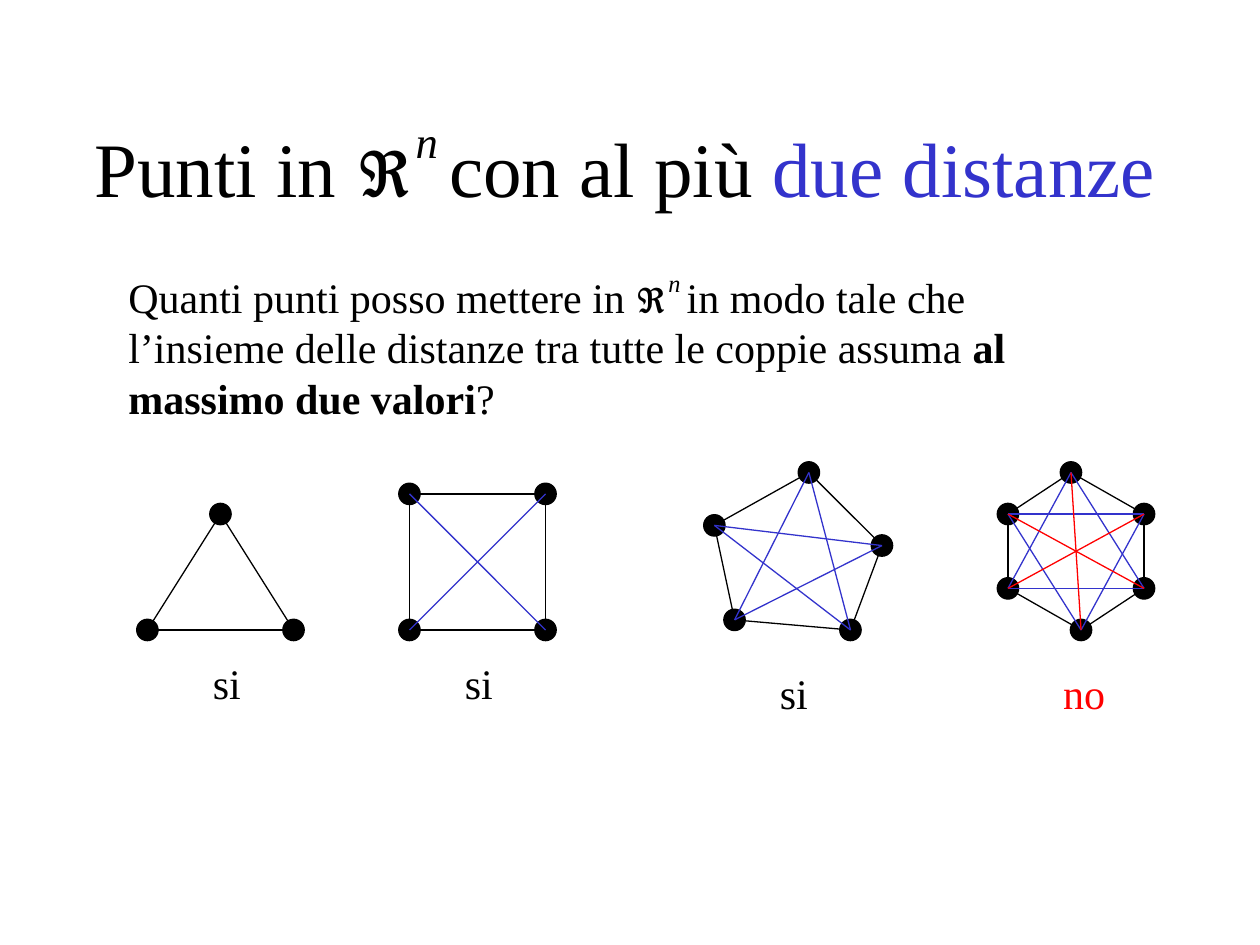
from itertools import combinations

from lxml import etree
from pptx import Presentation
from pptx.dml.color import RGBColor
from pptx.enum.shapes import MSO_CONNECTOR, MSO_SHAPE
from pptx.enum.text import MSO_ANCHOR, MSO_AUTO_SIZE, PP_ALIGN
from pptx.oxml.ns import qn
from pptx.util import Inches, Pt

STRAIGHT, OVAL = MSO_CONNECTOR.STRAIGHT, MSO_SHAPE.OVAL
MIDDLE, CENTER = MSO_ANCHOR.MIDDLE, PP_ALIGN.CENTER
NO_FIT, GROW = MSO_AUTO_SIZE.NONE, MSO_AUTO_SIZE.SHAPE_TO_FIT_TEXT
SERIF, SANS = "Times New Roman", "Arial"
BLACK, BLUE, RED = "000000", "3333CC", "FF0000"
DOT = 0.17


def rgb(value):
    return RGBColor.from_string(value)


def add_runs(p, size, runs):
    for text, color, style in runs:
        r = p.add_run()
        r.text = text
        r.font.size = Pt(size)
        r.font.name = SANS if style == "symbol" else SERIF
        r.font.color.rgb = rgb(color)
        r.font.bold = style == "bold"
        r.font.italic = style == "super"
        if style == "super":
            r.font._element.set("baseline", "50000")


prs = Presentation()
prs.slide_width, prs.slide_height = Inches(10), Inches(7.5)
s = prs.slides.add_slide(prs.slide_layouts[5])

# Title
title = s.shapes.title
title.left, title.top = Inches(0.5), Inches(0.67)
title.width, title.height = Inches(8.92), Inches(1.25)
tf = title.text_frame
tf.word_wrap, tf.auto_size, tf.vertical_anchor = True, NO_FIT, MIDDLE
p = tf.paragraphs[0]
p.alignment = CENTER
space_r_n = [("ℜ", BLACK, "symbol"), ("n ", BLACK, "super")]
add_runs(p, 44, [("Punti in ", BLACK, ""), *space_r_n,
                 ("con al più ", BLACK, ""), ("due distanze", BLUE, "")])

# Question
question = s.shapes.add_textbox(Inches(0.92), Inches(2.08), Inches(8.08), Inches(1.33))
tf = question.text_frame
tf.word_wrap, tf.auto_size = True, GROW
add_runs(tf.paragraphs[0], 24, [
    ("Quanti punti posso mettere in ", BLACK, ""), *space_r_n,
    ("in modo tale che l’insieme delle distanze tra tutte le coppie assuma ", BLACK, ""),
    ("al massimo due valori", BLACK, "bold"), ("?", BLACK, "")])

# Point sets: vertices in order around the polygon, then answer, colour and box
figures = [
    ([(1.75, 4.08), (2.33, 5), (1.17, 5)], "si", BLACK, (1.59, 5.17, 0.42)),
    ([(3.25, 3.92), (4.33, 3.92), (4.33, 5), (3.25, 5)], "si", BLACK, (3.59, 5.17, 0.42)),
    ([(6.42, 3.75), (7, 4.33), (6.75, 5), (5.83, 4.92), (5.67, 4.17)],
     "si", BLACK, (6.09, 5.25, 0.42)),
    ([(8.5, 3.75), (9.08, 4.08), (9.08, 4.67), (8.58, 5), (8, 4.67), (8, 4.08)],
     "no", RED, (8.34, 5.25, 0.53)),
]
step_colors = {1: BLACK, 2: BLUE, 3: RED}

for points, answer, answer_color, (left, top, width) in figures:
    # Vertices
    for x, y in points:
        sp = s.shapes.add_shape(OVAL, Inches(x - DOT / 2), Inches(y - DOT / 2),
                                Inches(DOT), Inches(DOT))
        sp.shadow.inherit = False
        sp.fill.solid()
        sp.fill.fore_color.rgb = rgb(BLACK)
        sp.line.color.rgb = rgb(BLACK)
        sp.line.width = Pt(0.75)

    # Sides first, then diagonals, coloured by steps around the polygon
    n = len(points)
    pairs = [(min(j - i, n - j + i), i, j) for i, j in combinations(range(n), 2)]
    for step, i, j in sorted(pairs):
        (x1, y1), (x2, y2) = points[i], points[j]
        line = s.shapes.add_connector(STRAIGHT, Inches(x1), Inches(y1),
                                      Inches(x2), Inches(y2))
        line.line.color.rgb = rgb(step_colors[step])
        line.line.width = Pt(0.75)
        etree.SubElement(line._element.spPr, qn("a:effectLst"))

    # Answer
    label = s.shapes.add_textbox(Inches(left), Inches(top), Inches(width), Inches(0.5))
    tf = label.text_frame
    tf.word_wrap, tf.auto_size = False, GROW
    add_runs(tf.paragraphs[0], 24, [(answer, answer_color, "")])

prs.save("out.pptx")
